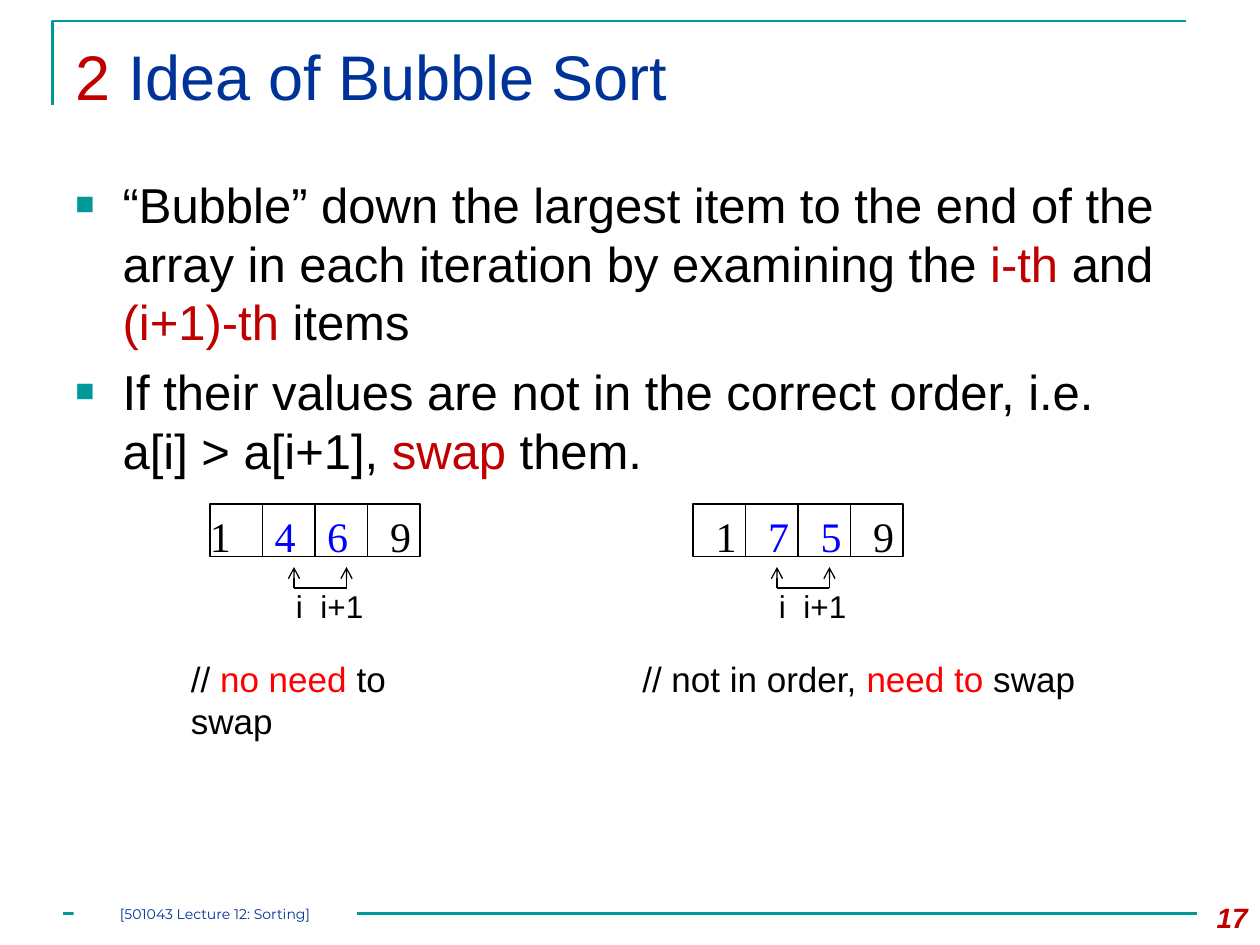
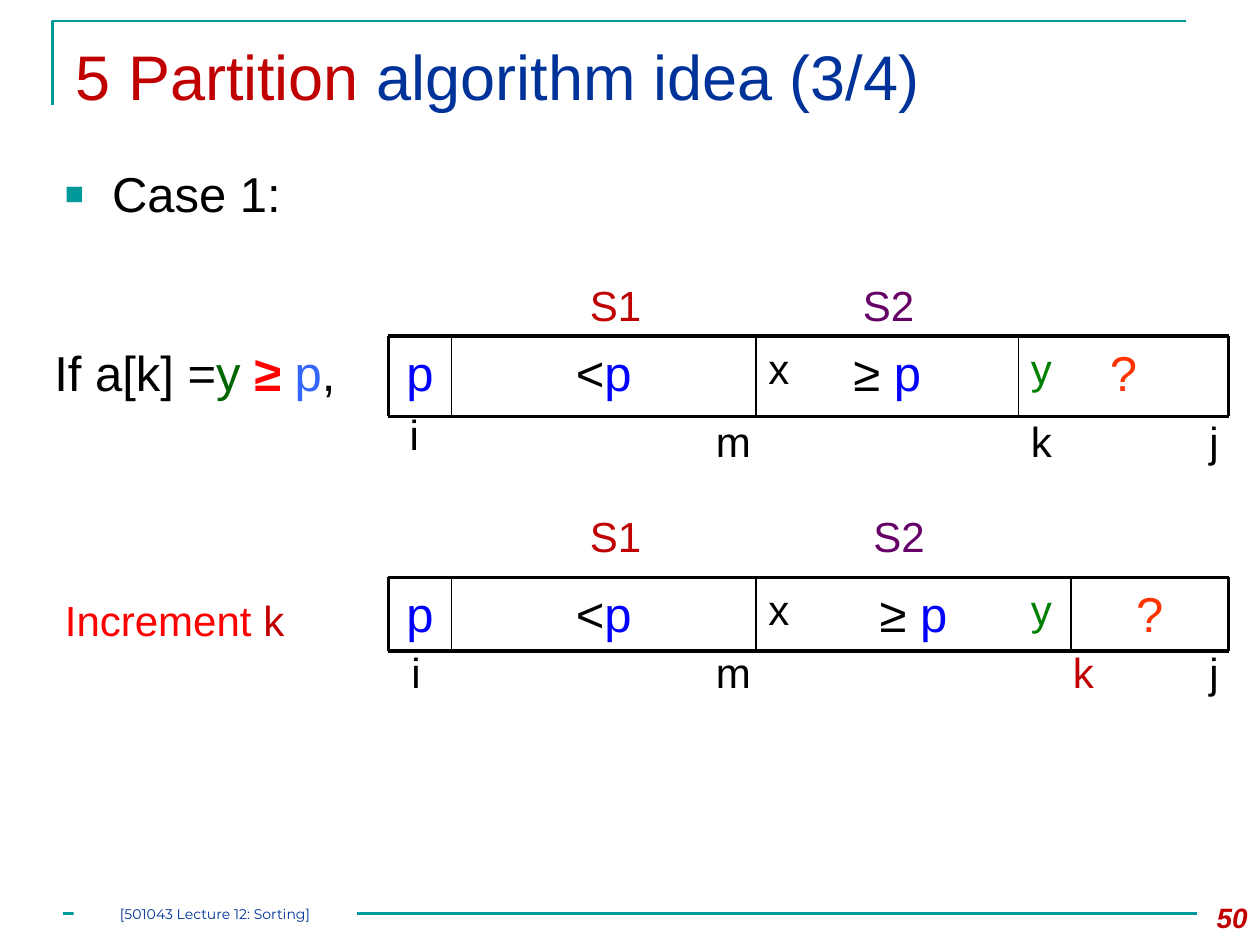
from dataclasses import dataclass

from lxml.etree import SubElement
from pptx import Presentation
from pptx.dml.color import RGBColor
from pptx.enum.shapes import MSO_CONNECTOR, MSO_SHAPE
from pptx.enum.text import MSO_ANCHOR, MSO_AUTO_SIZE, PP_ALIGN
from pptx.oxml.ns import qn
from pptx.util import Pt


@dataclass(frozen=True)
class Theme:
    font: str = "Arial"
    digit_font: str = "Times New Roman"
    footer_font: str = "Montserrat"
    black: str = "000000"
    white: str = "FFFFFF"
    teal: str = "009999"
    navy: str = "003399"
    crimson: str = "C00000"
    red: str = "FF0000"
    orange: str = "FF3300"
    blue: str = "0000FF"
    light_blue: str = "3366FF"
    green: str = "008000"
    dark_green: str = "006600"
    purple: str = "660066"
    title_size: int = 36
    body_size: int = 28
    label_size: int = 24
    note_size: int = 20
    index_size: int = 18
    number_size: int = 16
    footer_size: int = 8


THEME = Theme()
FOOTER = "[501043 Lecture 12: Sorting]"


def write_runs(paragraph, runs, size, font=THEME.font, bold=False, italic=False,
               align=PP_ALIGN.LEFT):
    """Write (text, colour) or (text, colour, bold) runs; a newline breaks the line."""
    paragraph.alignment = align
    for text, colour, *weight in runs:
        for number, line in enumerate(text.split("\n")):
            if number:
                paragraph.add_line_break()
            run = paragraph.add_run()
            run.text = line
            run.font.name = font
            run.font.size = Pt(size)
            run.font.bold = weight[0] if weight else bold
            run.font.italic = italic
            run.font.color.rgb = RGBColor.from_string(colour)


def add_text(slide, left, top, width, height, *runs, size=THEME.label_size, **text_format):
    box = slide.shapes.add_textbox(Pt(left), Pt(top), Pt(width), Pt(height))
    box.text_frame.word_wrap = True
    write_runs(box.text_frame.paragraphs[0], runs, size, **text_format)
    return box


def add_line(slide, start, end, colour=THEME.black, width=0.75, arrow=False):
    line = slide.shapes.add_connector(
        MSO_CONNECTOR.STRAIGHT, *(Pt(length) for length in (*start, *end)))
    line.line.color.rgb = RGBColor.from_string(colour)
    line.line.width = Pt(width)
    if arrow:
        SubElement(line.line._get_or_add_ln(), qn("a:tailEnd"), type="arrow")
    SubElement(line._element.spPr, qn("a:effectLst"))
    return line


def add_rectangle(slide, left, top, width, height):
    """Add a rectangle with no fill, no line, no shadow and no insets."""
    shape = slide.shapes.add_shape(
        MSO_SHAPE.RECTANGLE, Pt(left), Pt(top), Pt(width), Pt(height))
    shape.shadow.inherit = False
    shape.fill.background()
    shape.line.fill.background()
    frame = shape.text_frame
    frame.word_wrap = True
    frame.margin_left = frame.margin_right = frame.margin_top = frame.margin_bottom = 0
    return shape


def add_corner_rule(slide):
    builder = slide.shapes.build_freeform(Pt(30), Pt(60))
    builder.add_line_segments([(Pt(30), Pt(12)), (Pt(678), Pt(12))], close=False)
    rule = builder.convert_to_shape()
    rule.shadow.inherit = False
    rule.fill.background()
    rule.line.color.rgb = RGBColor.from_string(THEME.teal)
    rule.line.width = Pt(1.5)


def add_footer(slide, number):
    add_line(slide, (36, 522), (684, 522), colour=THEME.teal, width=1.5)
    plate = add_rectangle(slide, 42, 516, 162, 12)
    plate.fill.solid()
    plate.fill.fore_color.rgb = RGBColor.from_string(THEME.white)
    plate.text_frame.vertical_anchor = MSO_ANCHOR.MIDDLE
    write_runs(plate.text_frame.paragraphs[0], [(FOOTER, THEME.navy)],
               THEME.footer_size, font=THEME.footer_font, align=PP_ALIGN.CENTER)
    add_text(slide, 672, 511, 48, 29, (str(number), THEME.crimson),
             size=THEME.number_size, bold=True, italic=True, align=PP_ALIGN.RIGHT)


def add_titled_slide(presentation, number, *title_runs):
    slide = presentation.slides.add_slide(presentation.slide_layouts[5])
    title = slide.shapes.title
    title.left, title.top, title.width, title.height = Pt(36), Pt(18), Pt(648), Pt(72)
    title.text_frame.auto_size = MSO_AUTO_SIZE.NONE
    title.text_frame.vertical_anchor = MSO_ANCHOR.TOP
    write_runs(title.text_frame.paragraphs[0], title_runs, THEME.title_size)
    add_corner_rule(slide)
    add_footer(slide, number)
    return slide


def add_bullets(slide, left, top, width, height, *items):
    box = slide.shapes.add_textbox(Pt(left), Pt(top), Pt(width), Pt(height))
    frame = box.text_frame
    frame.word_wrap = True
    for number, runs in enumerate(items):
        paragraph = frame.add_paragraph() if number else frame.paragraphs[0]
        write_runs(paragraph, runs, THEME.body_size)
        paragraph.space_before = Pt(6)
        properties = paragraph._p.get_or_add_pPr()
        properties.set("marL", str(Pt(27)))
        properties.set("indent", str(-Pt(27)))
        colour = SubElement(properties, qn("a:buClr"))
        SubElement(colour, qn("a:srgbClr"), val=THEME.teal)
        SubElement(properties, qn("a:buSzPct"), val="65000")
        SubElement(properties, qn("a:buFont"), typeface=THEME.font)
        SubElement(properties, qn("a:buChar"), char="■")


def add_array(slide, left, digits, digit_insets):
    """Draw four cells and the bracket that points at items i and i+1."""
    top, side = 288, 30
    for column, (digit, inset) in enumerate(zip(digits, digit_insets)):
        cell = add_rectangle(slide, left + column * side, top, side, side)
        cell.line.color.rgb = RGBColor.from_string(THEME.black)
        cell.line.width = Pt(0.75)
        cell.text_frame.vertical_anchor = MSO_ANCHOR.TOP
        cell.text_frame.margin_left = Pt(inset)
        cell.text_frame.margin_top = Pt(3.6)
        colour = THEME.blue if column in (1, 2) else THEME.black
        write_runs(cell.text_frame.paragraphs[0], [(digit, colour)],
                   THEME.label_size, font=THEME.digit_font)

    first, second = left + 1.6 * side, left + 2.6 * side
    for x in (first, second):
        add_line(slide, (x, 336), (x, 324), arrow=True)
    add_line(slide, (first, 336), (second, 336))
    for text, offset, width in (("i", 42, 24), ("i+1", 56, 48)):
        add_text(slide, left + offset, 332, width, 29, (text, THEME.black),
                 size=THEME.index_size)


def add_partition(slide, top, height, edges, cells, labels):
    """Draw a row of cells between edges, with (text, left, top, colour) labels."""
    bottom = top + height
    for left, right, runs in zip(edges, edges[1:], cells):
        add_text(slide, left, top, right - left, height, *runs,
                 size=THEME.body_size, align=PP_ALIGN.CENTER)
    for y in (top, bottom):
        add_line(slide, (edges[0], y), (edges[-1], y), width=2.25)
    for x in edges:
        outer = x in (edges[0], edges[-1])
        add_line(slide, (x, top), (x, bottom), width=2.25 if outer else 1)
    for text, left, label_top, colour in labels:
        add_text(slide, left, label_top, 24 + 12 * len(text), 36, (text, colour))


def build_bubble_sort(presentation):
    slide = add_titled_slide(presentation, 17, ("2 ", THEME.crimson),
                             ("Idea of Bubble Sort", THEME.navy))
    add_bullets(
        slide, 36, 96, 648, 414,
        [("“Bubble” down the largest item to the end of the array in each "
          "iteration by examining the ", THEME.black),
         ("i-th", THEME.crimson), (" and ", THEME.black),
         ("(i+1)-th ", THEME.crimson), ("items", THEME.black)],
        [("If their values are not in the correct order, i.e. \na[i] > a[i+1], ",
          THEME.black),
         ("swap", THEME.crimson), (" them.", THEME.black)])
    add_array(slide, 120, "1469", (0, 7, 7, 13))
    add_array(slide, 396, "1759", (13, 13, 13, 13))
    add_text(slide, 102, 372, 150, 55, ("// ", THEME.black), ("no need ", THEME.red),
             ("to swap", THEME.black), size=THEME.note_size)
    add_text(slide, 360, 372, 288, 31, ("// not in order, ", THEME.black),
             ("need to", THEME.red), (" swap", THEME.black), size=THEME.note_size)


def build_partition(presentation):
    slide = add_titled_slide(presentation, 50, ("5 Partition", THEME.crimson),
                             (" algorithm idea (3/4)", THEME.navy))
    add_bullets(slide, 30, 90, 672, 48, [("Case 1:", THEME.black)])
    add_text(slide, 24, 192, 198, 48, ("If a[k] =", THEME.black),
             ("y ", THEME.dark_green), ("≥ ", THEME.red, True),
             ("p", THEME.light_blue), (",", THEME.black), size=THEME.body_size)
    add_text(slide, 30, 336, 156, 36, ("Increment ", THEME.red), ("k", THEME.crimson))

    pivot = ("p", THEME.blue)
    cells = ([pivot], [("<", THEME.black), pivot], [("≥ ", THEME.black), pivot],
             [("?", THEME.orange)])
    # top, height, left of "?", S1/S2 top, S2 left, i position, index top, k left and colour
    rows = (
        (192, 46, 582, 156, 486, (227, 230), 234, 582, THEME.black),
        (330, 42, 612, 288, 492, (228, 366), 366, 606, THEME.crimson),
    )
    for top, height, unknown, set_top, s2_left, i_at, index_top, k_left, k_colour in rows:
        labels = (
            ("S1", 330, set_top, THEME.crimson),
            ("S2", s2_left, set_top, THEME.purple),
            ("x", 432, top, THEME.black),
            ("y", 582, top, THEME.green),
            ("i", *i_at, THEME.black),
            ("m", 402, index_top, THEME.black),
            ("k", k_left, index_top, k_colour),
            ("j", 684, index_top, THEME.black),
        )
        add_partition(slide, top, height, (222, 258, 432, unknown, 702), cells, labels)


def main():
    presentation = Presentation()
    presentation.slide_width, presentation.slide_height = Pt(720), Pt(540)
    build_bubble_sort(presentation)
    build_partition(presentation)
    presentation.save("out.pptx")


if __name__ == "__main__":
    main()
